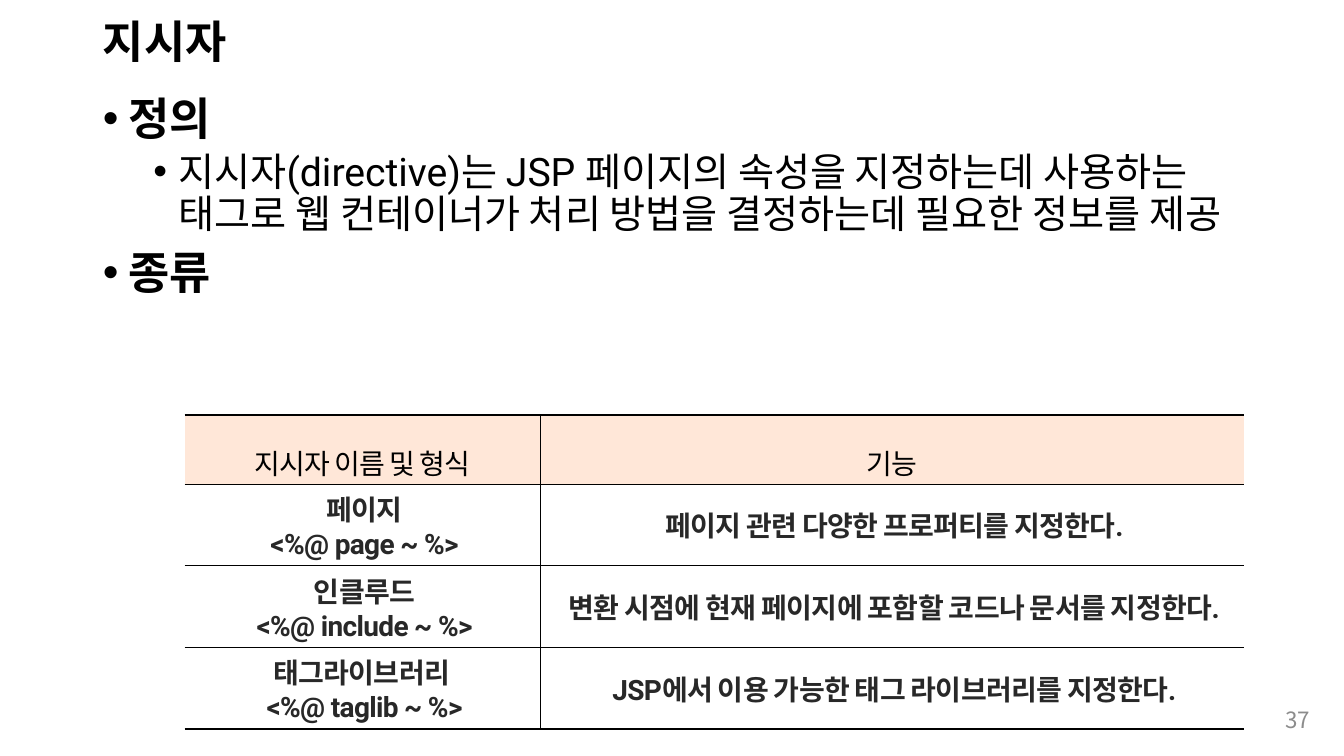
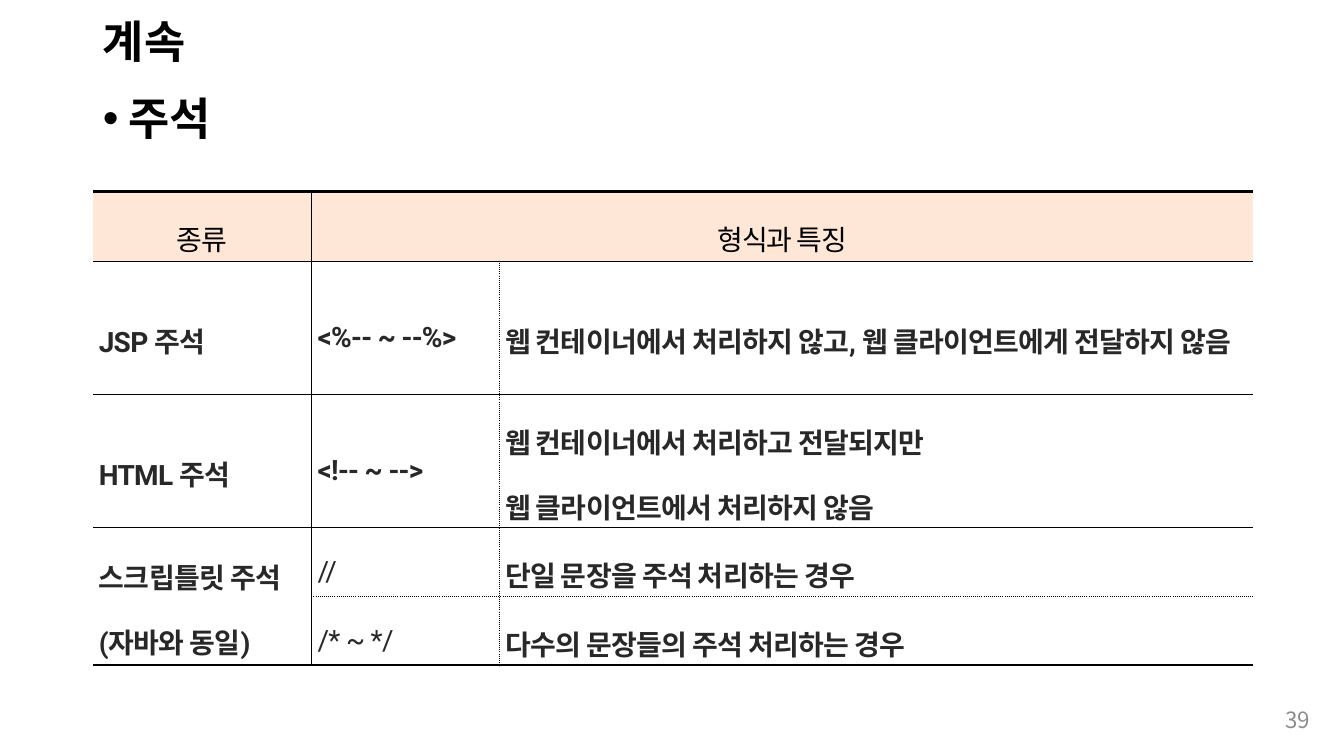
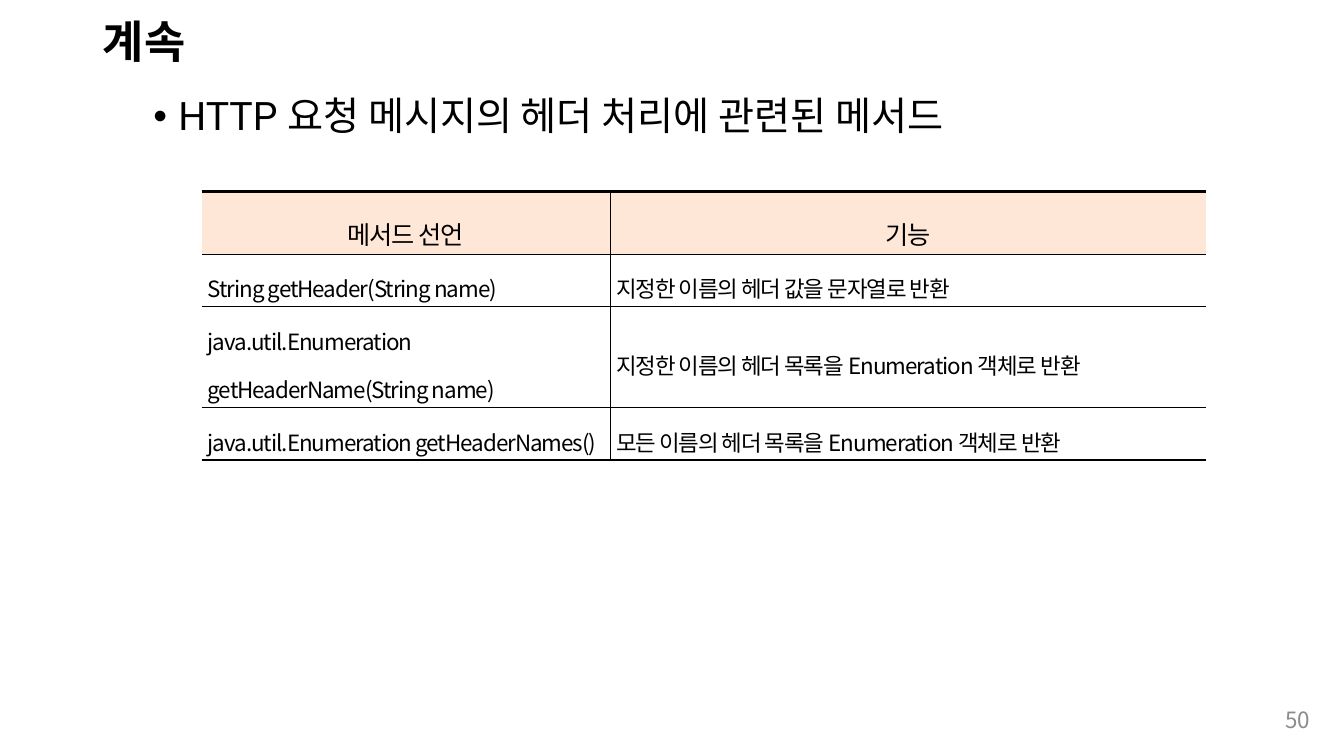
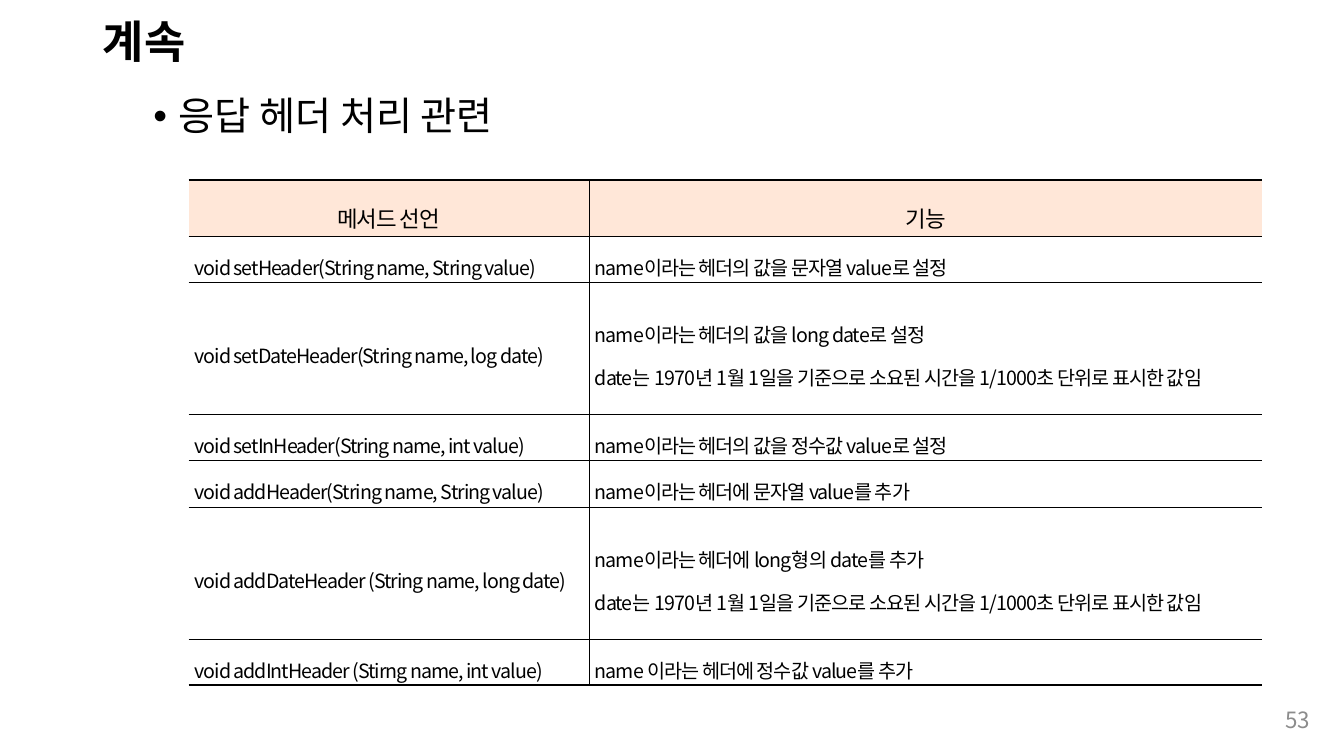
from dataclasses import dataclass

from lxml import etree
from pptx import Presentation
from pptx import util as u
from pptx.dml.color import RGBColor
from pptx.enum import text as t
from pptx.oxml.ns import qn


@dataclass(frozen=True)
class Theme:
    latin: str = "Roboto"
    korean: str = "Noto Sans CJK KR"
    black: str = "000000"
    ink: str = "282828"
    grey: str = "8C8C8C"
    header_fill: str = "FFE7D8"
    title_size: int = 32
    level_sizes: tuple = (32, 28)
    number_size: int = 16
    thin: float = 0.28
    heavy: float = 1.7
    no_grid: str = "{2D5ABB26-0587-4C30-8999-92F81FD0307C}"


THEME = Theme()
TITLE_BOX = (0.92, 0.06, 11.5, 0.75)
BODY_BOX = (0.92, 0.91, 11.5, 5.85)
NUMBER_BOX = (12.52, 6.94, 0.57, 0.4)


@dataclass(frozen=True)
class CellText:
    size: int
    font: str
    color: str = THEME.black
    bold: bool = False
    tracking: int = -70
    spacing: float = 1.6
    align: t.PP_ALIGN = t.PP_ALIGN.LEFT
    indent: float = 0.04


def header_text(size, font):
    return CellText(size, font, align=t.PP_ALIGN.CENTER, indent=0)


def bold_text(align, spacing):
    return CellText(20, THEME.latin, THEME.ink, True, -50, spacing, align)


def method_text(size):
    return CellText(size, THEME.korean, spacing=1.5)


def place(shape, box):
    shape.left, shape.top, shape.width, shape.height = map(u.Inches, box)


def format_runs(paragraph, size, font, color, bold=False, tracking=0):
    for run in paragraph.runs:
        run.font.size = u.Pt(size)
        run.font.bold = bold
        run.font.color.rgb = RGBColor.from_string(color)
        run.font.name = font
        properties = run._r.get_or_add_rPr()
        etree.SubElement(properties, qn("a:ea"), typeface=THEME.korean)
        if tracking:
            properties.set("spc", str(tracking))


def set_indent(paragraph, left, first=0):
    properties = paragraph._p.get_or_add_pPr()
    properties.set("marL", str(u.Inches(left)))
    properties.set("indent", str(u.Inches(first)))
    return properties


def add_title(slide, wording):
    title = slide.shapes.title
    place(title, TITLE_BOX)
    frame = title.text_frame
    frame.text = wording
    frame.auto_size = t.MSO_AUTO_SIZE.NONE
    frame.vertical_anchor = t.MSO_ANCHOR.MIDDLE
    heading = frame.paragraphs[0]
    heading.alignment = t.PP_ALIGN.LEFT
    heading.line_spacing = 0.9
    format_runs(heading, THEME.title_size, THEME.latin, THEME.black, True)


def add_bullets(slide, bullets):
    """Fill the body placeholder with (level, wording) pairs."""
    body = slide.placeholders[1]
    place(body, BODY_BOX)
    frame = body.text_frame
    frame.text = "\n".join(wording for _, wording in bullets)
    frame.auto_size = t.MSO_AUTO_SIZE.NONE
    for i, (paragraph, (level, _)) in enumerate(zip(frame.paragraphs, bullets)):
        paragraph.level = level
        properties = set_indent(paragraph, 0.25 + 0.5 * level, -0.25)
        etree.SubElement(properties, qn("a:buFont"), typeface="Arial")
        etree.SubElement(properties, qn("a:buChar"), char="•")
        paragraph.line_spacing = 0.9
        paragraph.space_before = u.Pt((10, 5)[level] if i else 0)
        format_runs(paragraph, THEME.level_sizes[level], THEME.latin,
                    THEME.black, level == 0)


def add_page_number(slide, number):
    frame = slide.shapes.add_textbox(*map(u.Inches, NUMBER_BOX)).text_frame
    frame.word_wrap = True
    frame.vertical_anchor = t.MSO_ANCHOR.MIDDLE
    frame.text = str(number)
    frame.paragraphs[0].alignment = t.PP_ALIGN.RIGHT
    format_runs(frame.paragraphs[0], THEME.number_size, THEME.korean, THEME.grey)


def add_border(cell, side, width, dash):
    line = etree.SubElement(cell._tc.get_or_add_tcPr(), qn("a:ln" + side),
                            w=str(u.Pt(width)))
    fill = etree.SubElement(line, qn("a:solidFill"))
    etree.SubElement(fill, qn("a:srgbClr"), val=THEME.black)
    etree.SubElement(line, qn("a:prstDash"), val=dash)


def rule_cell(cell, row, col, row_count, col_count, dotted):
    """Heavy rules above and below the table, thin ones inside, open sides."""
    dotted_row, dotted_col = dotted

    def column_rule(edge):
        if edge in (0, col_count):
            return None
        return THEME.thin, "sysDot" if edge == dotted_col and row else "solid"

    def row_rule(edge):
        if edge in (0, row_count):
            return THEME.heavy, "solid"
        return THEME.thin, "sysDot" if edge == dotted_row and col else "solid"

    rules = {"L": column_rule(col), "R": column_rule(col + cell.span_width),
             "T": row_rule(row), "B": row_rule(row + cell.span_height)}
    for side, rule in rules.items():
        if rule and (not cell.is_spanned or rule[0] == THEME.heavy):
            add_border(cell, side, *rule)


def write_cell(cell, wording, style, bold):
    cell.text = wording
    for paragraph in cell.text_frame.paragraphs:
        set_indent(paragraph, style.indent)
        paragraph.alignment = style.align
        paragraph.line_spacing = style.spacing
        format_runs(paragraph, style.size, style.font, style.color, bold,
                    style.tracking)


def add_ruled_table(slide, corner, widths, heights, rows, header, body,
                    merges=(), dotted=(None, None), plain=()):
    """Cells of None are covered by a merge; wordings in plain are not bold."""
    size = len(rows), len(widths)
    frame = slide.shapes.add_table(*size, *map(
        u.Inches, (*corner, sum(widths), sum(heights))))
    next(frame.element.iter(qn("a:tableStyleId"))).text = THEME.no_grid
    table = frame.table
    table.first_row = table.horz_banding = False
    for column, width in zip(table.columns, widths):
        column.width = u.Inches(width)
    for row, height in zip(table.rows, heights):
        row.height = u.Inches(height)
    for first, last in merges:
        table.cell(*first).merge(table.cell(*last))
    for r, wordings in enumerate(rows):
        for c, wording in enumerate(wordings):
            cell = table.cell(r, c)
            rule_cell(cell, r, c, *size, dotted)
            if r == 0:
                cell.fill.solid()
                cell.fill.fore_color.rgb = RGBColor.from_string(THEME.header_fill)
            else:
                cell.fill.background()
            cell.vertical_anchor = t.MSO_ANCHOR.MIDDLE
            cell.margin_left = cell.margin_right = u.Inches(0.02)
            cell.margin_top = cell.margin_bottom = u.Inches(0.02)
            if wording is not None:
                style = body if r else header
                write_cell(cell, wording, style,
                           style.bold and wording not in plain)


DATE_NOTE = "date는 1970년 1월 1일을 기준으로 소요된 시간을 1/1000초 단위로 표시한 값임"

LESSONS = [
    dict(
        title="지시자", number=37,
        bullets=[
            (0, "정의"),
            (1, "지시자(directive)는 JSP 페이지의 속성을 지정하는데 사용하는 태그로 "
                "웹 컨테이너가 처리 방법을 결정하는데 필요한 정보를 제공"),
            (0, "종류"),
        ],
        table=dict(
            corner=(1.83, 4.12), widths=(3.53, 6.98),
            heights=(0.68, 0.81, 0.81, 0.81),
            header=header_text(20, THEME.latin),
            body=bold_text(t.PP_ALIGN.CENTER, 1.0),
            rows=[
                ("지시자 이름 및 형식", "기능"),
                ("페이지\n<%@ page ~ %>", "페이지 관련 다양한 프로퍼티를 지정한다."),
                ("인클루드\v<%@ include ~ %>",
                 "변환 시점에 현재 페이지에 포함할 코드나 문서를 지정한다."),
                ("태그라이브러리 \n<%@ taglib ~ %>",
                 "JSP에서 이용 가능한 태그 라이브러리를 지정한다."),
            ])),
    dict(
        title="계속", number=39, bullets=[(0, "주석")],
        table=dict(
            corner=(0.92, 1.9), widths=(2.17, 1.86, 7.48),
            heights=(0.69, 1.32, 1.32, 0.69, 0.68),
            header=header_text(20, THEME.latin),
            body=bold_text(t.PP_ALIGN.LEFT, 1.6),
            merges=[((0, 1), (0, 2)), ((3, 0), (4, 0))],
            dotted=(4, 2), plain=("//", "/* ~ */"),
            rows=[
                ("종류", "형식과 특징", None),
                ("JSP 주석", "<%-- ~ --%>",
                 "웹 컨테이너에서 처리하지 않고, 웹 클라이언트에게 전달하지 않음"),
                ("HTML 주석", "<!-- ~ -->",
                 "웹 컨테이너에서 처리하고 전달되지만\v웹 클라이언트에서 처리하지 않음"),
                ("스크립틀릿 주석\n(자바와 동일)", "//", "단일 문장을 주석 처리하는 경우"),
                (None, "/* ~ */", "다수의 문장들의 주석 처리하는 경우"),
            ])),
    dict(
        title="계속", number=50,
        bullets=[(1, "HTTP 요청 메시지의 헤더 처리에 관련된 메서드")],
        table=dict(
            corner=(2, 1.9), widths=(4.05, 5.91),
            heights=(0.62, 0.52, 1, 0.52),
            header=header_text(18, THEME.korean), body=method_text(16),
            rows=[
                ("메서드 선언", "기능"),
                ("String getHeader(String name)",
                 "지정한 이름의 헤더 값을 문자열로 반환"),
                ("java.util.Enumeration getHeaderName(String name)",
                 "지정한 이름의 헤더 목록을 Enumeration 객체로 반환"),
                ("java.util.Enumeration getHeaderNames()",
                 "모든 이름의 헤더 목록을 Enumeration 객체로 반환"),
            ])),
    dict(
        title="계속", number=53, bullets=[(1, "응답 헤더 처리 관련")],
        table=dict(
            corner=(1.87, 1.79), widths=(3.97, 6.68),
            heights=(0.55, 0.46, 1.31, 0.46, 0.46, 1.31, 0.46),
            header=header_text(16, THEME.korean), body=method_text(14),
            rows=[
                ("메서드 선언", "기능"),
                ("void setHeader(String name, String value)",
                 "name이라는 헤더의 값을 문자열 value로 설정"),
                ("void setDateHeader(String name, log date)",
                 "name이라는 헤더의 값을 long date로 설정\n" + DATE_NOTE),
                ("void setInHeader(String name, int value)",
                 "name이라는 헤더의 값을 정수값 value로 설정"),
                ("void addHeader(String name, String value)",
                 "name이라는 헤더에 문자열 value를 추가"),
                ("void addDateHeader (String name, long date)",
                 "name이라는 헤더에 long형의 date를 추가\n" + DATE_NOTE),
                ("void addIntHeader (Stirng name, int value)",
                 "name 이라는 헤더에 정수값 value를 추가"),
            ])),
]


def add_lesson(deck, title, number, bullets, table):
    slide = deck.slides.add_slide(deck.slide_layouts[1])
    add_title(slide, title)
    add_bullets(slide, bullets)
    add_page_number(slide, number)
    add_ruled_table(slide, **table)


def main():
    deck = Presentation()
    deck.slide_width, deck.slide_height = u.Inches(13.33), u.Inches(7.5)
    for lesson in LESSONS:
        add_lesson(deck, **lesson)
    deck.save("out.pptx")


if __name__ == "__main__":
    main()
